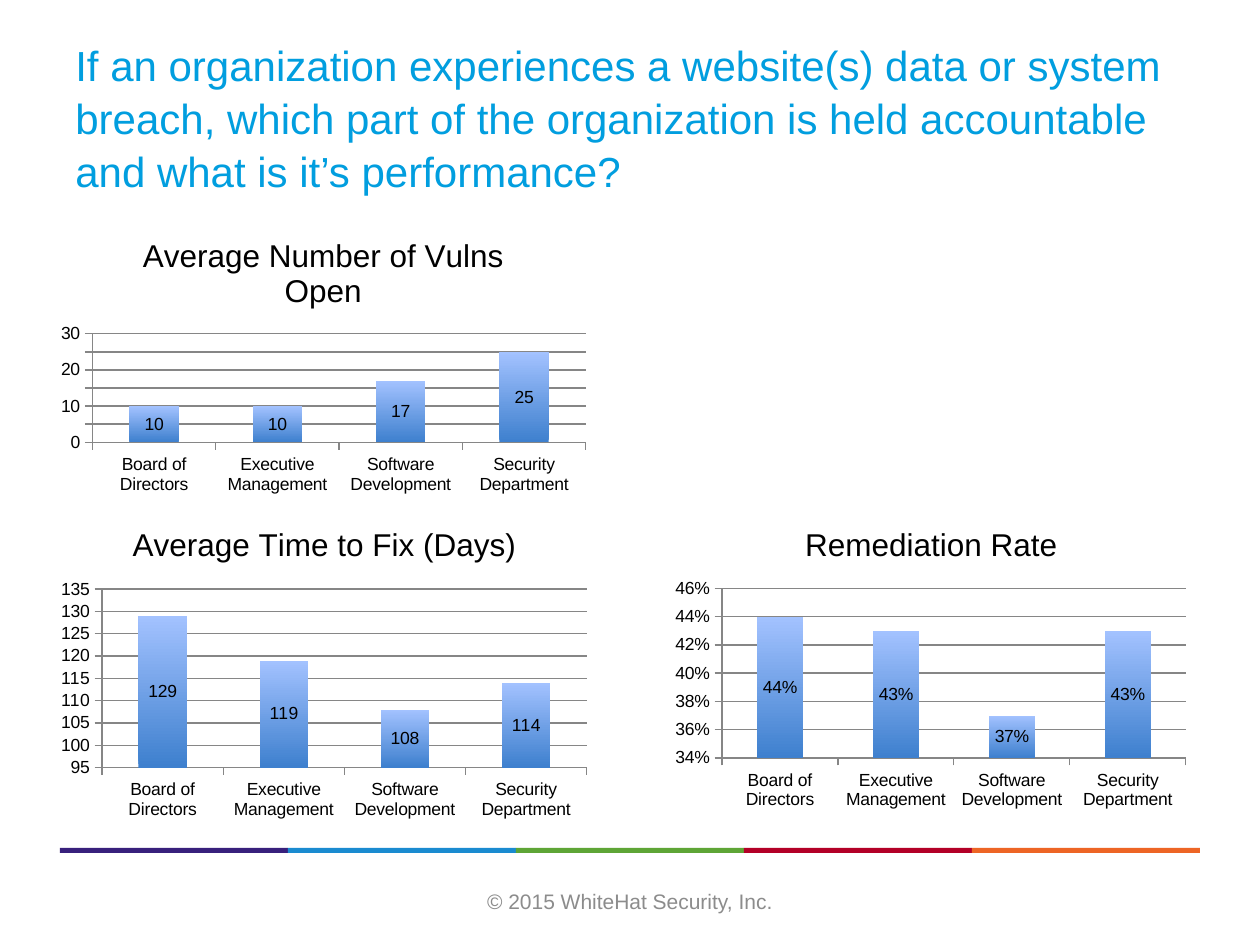
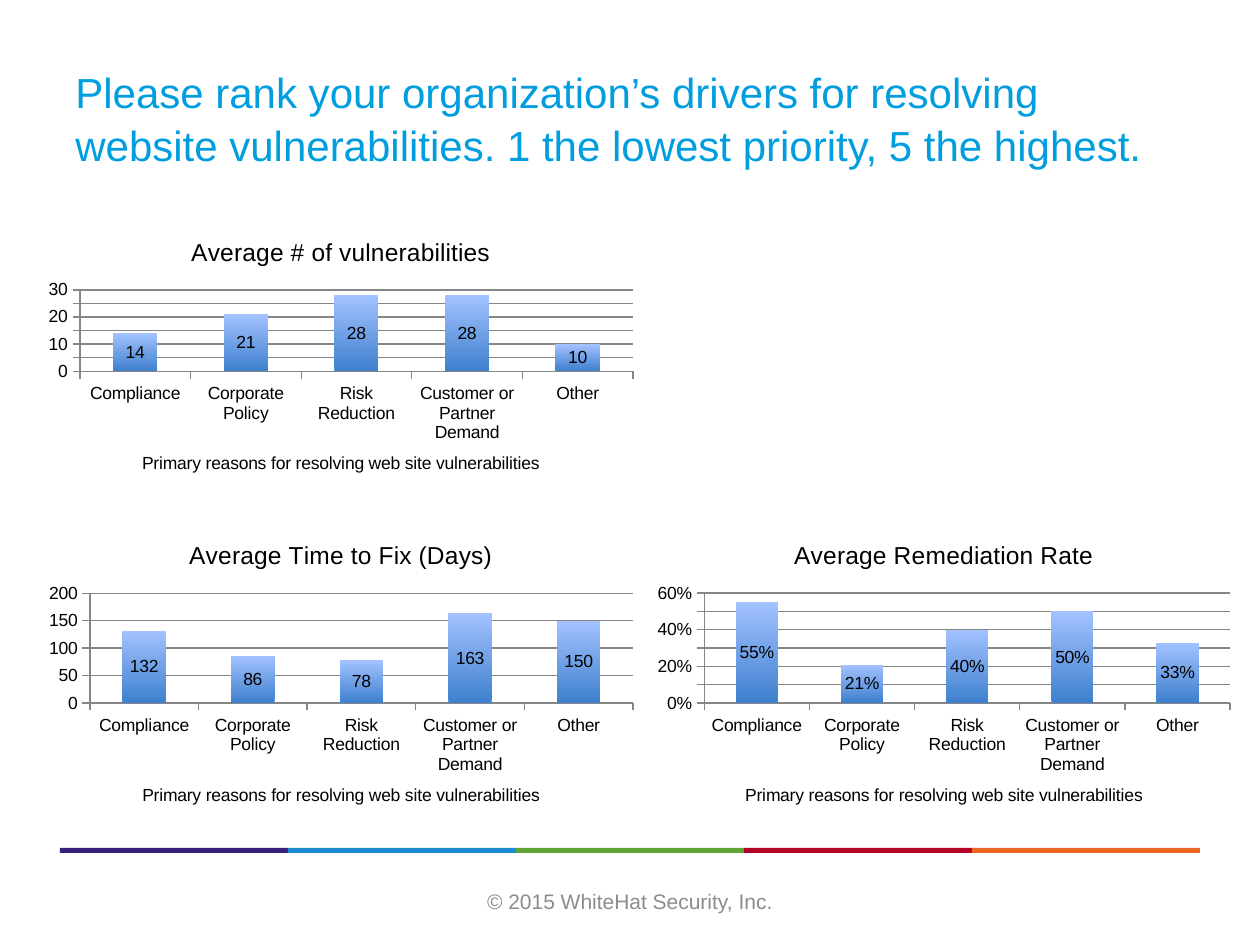
from lxml import etree
from pptx import Presentation
from pptx.chart.data import CategoryChartData
from pptx.dml.color import RGBColor
from pptx.enum.chart import XL_CHART_TYPE, XL_LABEL_POSITION, XL_TICK_MARK
from pptx.enum.shapes import MSO_SHAPE
from pptx.enum.text import MSO_ANCHOR, PP_ALIGN
from pptx.oxml.ns import qn
from pptx.util import Pt

COLUMN = XL_CHART_TYPE.COLUMN_CLUSTERED
CENTER = XL_LABEL_POSITION.CENTER
OUTSIDE, NO_TICK = XL_TICK_MARK.OUTSIDE, XL_TICK_MARK.NONE
RECT = MSO_SHAPE.RECTANGLE
MIDDLE = MSO_ANCHOR.MIDDLE
LEFT, MID = PP_ALIGN.LEFT, PP_ALIGN.CENTER

FONT = "Arial"
BLACK = RGBColor(0x00, 0x00, 0x00)
TITLE = RGBColor(0x01, 0x9E, 0xDF)
GRAY = RGBColor(0x8C, 0x8C, 0x8C)
GRID = RGBColor(0x86, 0x86, 0x86)
BAR_LOW = RGBColor(0x3E, 0x80, 0xCE)
BAR_HIGH = RGBColor(0xA3, 0xC2, 0xFF)
BANDS = [
    RGBColor(0x38, 0x20, 0x7C),
    RGBColor(0x1A, 0x8B, 0xD0),
    RGBColor(0x5E, 0xA5, 0x36),
    RGBColor(0xB3, 0x00, 0x27),
    RGBColor(0xED, 0x65, 0x25),
]

TITLE_BOX = (36, 21.6, 648, 90)
BAND_BOX = (34.2, 484.5, 651.5, 2.9)
FOOT_BOX = (246, 500.4, 228, 28.8)

PARTS = ["Board of Directors", "Executive Management",
         "Software Development", "Security Department"]
DRIVES = ["Compliance", "Corporate Policy", "Risk Reduction",
          "Customer or Partner Demand", "Other"]
REASON = "Primary reasons for resolving web site vulnerabilities"

# Each chart: title, box, plot area inside the box, values, format, (min, max, step)
PAGES = [
    {
        "title": "If an organization experiences a website(s) data or system "
                 "breach, which part of the organization is held accountable "
                 "and what is it’s performance?",
        "cats": PARTS, "size": 18, "note": None,
        "charts": [
            ("Average Number of Vulns Open", (28.8, 123.8, 311.8, 162),
             (24, 67, 282, 62), [10, 10, 17, 25], "0", (0, 30, 5)),
            ("Average Time to Fix (Days)", (28.8, 288.7, 313.2, 183.6),
             (29.5, 48, 277, 102), [129, 119, 108, 114], "0", (95, 135, 5)),
            ("Remediation Rate", (380.2, 288.7, 303.8, 177.8),
             (32.4, 47.5, 265, 97), [0.44, 0.43, 0.37, 0.43], "0%",
             (0.34, 0.46, 0.02)),
        ],
    },
    {
        "title": "Please rank your organization’s drivers for resolving "
                 "website vulnerabilities. 1 the lowest priority, 5 the highest.",
        "cats": DRIVES, "size": 14, "note": REASON,
        "charts": [
            ("Average # of vulnerabilities", (20.9, 125.3, 347.8, 159.8),
             (24.8, 40.4, 316, 46.5), [14, 21, 28, 28, 10], "0", (0, 30, 5)),
            ("Average Time to Fix (Days)", (20.9, 298, 347.8, 177),
             (30.5, 41, 310.3, 62.8), [132, 86, 78, 163, 150], "0",
             (0, 200, 50)),
            ("Average Remediation Rate", (368.7, 298, 341.3, 177),
             (33.7, 41, 300.6, 62.8), [0.55, 0.21, 0.4, 0.5, 0.33], "0%",
             (0, 0.6, 0.1)),
        ],
    },
]


def apply(item, form):
    for name, value in form.items():
        setattr(item, name, value)


def dress(font, size, color):
    apply(font, {"name": FONT, "size": Pt(size), "bold": False})
    font.color.rgb = color


def points(box):
    return [Pt(n) for n in box]


def add_text(slide, box, text, size, color, align, pitch=1.0):
    frame = slide.shapes.add_textbox(*points(box)).text_frame
    apply(frame, {"word_wrap": True, "vertical_anchor": MIDDLE})
    para = frame.paragraphs[0]
    apply(para, {"text": text, "alignment": align, "line_spacing": pitch})
    dress(para.runs[0].font, size, color)


def add_bands(slide, box):
    left, top, width, height = box
    step = width / len(BANDS)
    for i, color in enumerate(BANDS):
        place = points((left + i * step, top, step, height))
        band = slide.shapes.add_shape(RECT, *place)
        band.shadow.inherit = False
        band.fill.solid()
        band.fill.fore_color.rgb = color
        band.line.fill.background()


def label(owner, text, size):
    frame = owner.text_frame
    frame.text = text
    dress(frame.paragraphs[0].runs[0].font, size, BLACK)


def set_plot(chart, box, plot):
    """Fix the inner plot area, as shares of the chart box."""
    area = chart._chartSpace.find(".//" + qn("c:plotArea"))
    for old in area.findall(qn("c:layout")):
        area.remove(old)
    outer = etree.Element(qn("c:layout"))
    area.insert(0, outer)
    inner = etree.SubElement(outer, qn("c:manualLayout"))
    marks = {"layoutTarget": "inner", "xMode": "edge", "yMode": "edge"}
    sizes = box[2:] * 2
    for key, part, whole in zip("xywh", plot, sizes):
        marks[key] = f"{part / whole:.4f}"
    for key, value in marks.items():
        etree.SubElement(inner, qn("c:" + key)).set("val", value)


def draw_line(form):
    form.line.color.rgb = GRID
    form.line.width = Pt(0.75)


def add_bars(slide, box, plot, title, cats, vals, form, scale, size, note):
    data = CategoryChartData(number_format=form)
    data.categories = cats
    data.add_series("Series 1", vals)
    chart = slide.shapes.add_chart(COLUMN, *points(box), data).chart
    dress(chart.font, 10, BLACK)
    apply(chart, {"has_legend": False, "has_title": True})
    label(chart.chart_title, title, size)
    chart.chart_title.include_in_layout = False
    set_plot(chart, box, plot)

    # Axes
    low, high, step = scale
    across, up = chart.category_axis, chart.value_axis
    for axis in (across, up):
        apply(axis, {"major_tick_mark": OUTSIDE, "minor_tick_mark": NO_TICK})
        draw_line(axis.format)
    apply(up, {"minimum_scale": low, "maximum_scale": high,
               "major_unit": step, "has_major_gridlines": True})
    draw_line(up.major_gridlines.format)
    apply(up.tick_labels, {"number_format": form,
                           "number_format_is_linked": False})
    if note:
        label(across.axis_title, note, 10)

    # Columns and their values
    group = chart.plots[0]
    apply(group, {"gap_width": 150, "vary_by_categories": False,
                  "has_data_labels": True})
    apply(group.data_labels, {"show_value": True, "position": CENTER,
                              "number_format": form,
                              "number_format_is_linked": False})
    fill = group.series[0].format.fill
    fill.gradient()
    fill.gradient_angle = 90
    for stop, color in zip(fill.gradient_stops, (BAR_LOW, BAR_HIGH)):
        stop.color.rgb = color


def add_page(deck, page):
    slide = deck.slides.add_slide(deck.slide_layouts[6])
    add_bands(slide, BAND_BOX)
    add_text(slide, FOOT_BOX, "© 2015 WhiteHat Security, Inc.", 12, GRAY, MID)
    add_text(slide, TITLE_BOX, page["title"], 24, TITLE, LEFT, 1.05)
    for title, box, plot, vals, form, scale in page["charts"]:
        add_bars(slide, box, plot, title, page["cats"], vals, form, scale,
                 page["size"], page["note"])


def main():
    deck = Presentation()
    apply(deck, {"slide_width": Pt(720), "slide_height": Pt(540)})
    for page in PAGES:
        add_page(deck, page)
    deck.save("out.pptx")


if __name__ == "__main__":
    main()
